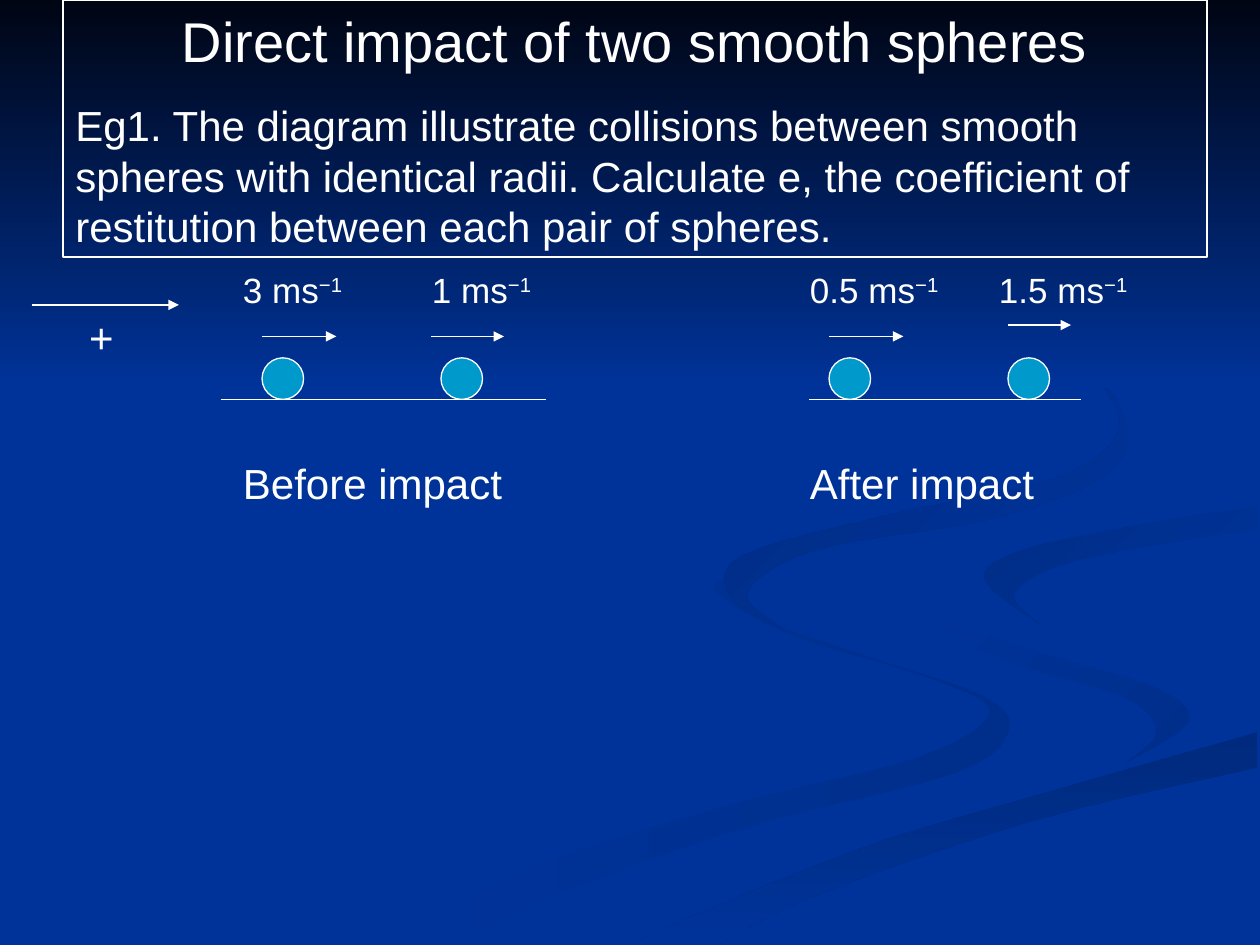
from dataclasses import dataclass
from lxml.etree import SubElement
from pptx import Presentation
from pptx.dml.color import RGBColor
from pptx.enum.shapes import MSO_CONNECTOR, MSO_SHAPE
from pptx.enum.text import PP_ALIGN
from pptx.oxml.ns import qn
from pptx.util import Inches, Pt

WHITE, BLUE, SPHERE_BLUE = "FFFFFF", "003399", "0099CC"
LINE_WIDTH = Pt(0.75)
DIAMETER = 0.33
GROUND_TOP = 3.17
CURVE_STEPS = 5
SPHERE_OFFSETS = (0.25, 1.67)
LABEL_OFFSETS = (0, 1.5)

Edge = list[tuple[float, float]]


@dataclass
class Ribbon:
    colors: tuple[str, str]
    angle: int
    edges: tuple[Edge, Edge]


@dataclass
class Sphere:
    speed: str
    label_width: float
    arrow: tuple[float, float, float]  # start, end, height on the slide


@dataclass
class State:
    caption: str
    left: float
    ground: tuple[float, float]
    spheres: tuple[Sphere, Sphere]


RIBBONS = [
    Ribbon((BLUE, "002E8B"), 0, (
        [(5.75, 4.59), (6.02, 4.9), (6.82, 5.19), (7.81, 5.53), (8, 5.81), (7.56, 6.14),
         (5.94, 6.56), (4.31, 7.14), (3.61, 7.49)],
        [(3, 7.49), (4.17, 6.9), (5.79, 6.39), (7.27, 6.02), (7.86, 5.66), (7.41, 5.39),
         (6.31, 5.05), (5.7, 4.72), (5.75, 4.59)])),
    Ribbon((BLUE, "002E8B"), 45, (
        [(7.24, 4.64), (7.45, 4.9), (8.3, 5.19), (9.19, 5.47), (9.43, 5.73), (8.94, 6.05)],
        [(8.94, 6.05), (9.18, 5.81), (8.92, 5.53), (7.97, 5.24), (7.33, 4.88),
         (7.24, 4.64)])),
    Ribbon(("002A7D", BLUE), 90, (
        [(5.03, 7.49), (5.69, 7.19), (6.96, 6.69), (8.31, 6.29), (9.98, 5.81)],
        [(9.98, 6.09), (8.21, 6.51), (6.49, 7.1), (5.71, 7.49)])),
    Ribbon(("002D86", BLUE), 45, (
        [(8.26, 4.96), (8.05, 4.72), (8.43, 4.48), (9.36, 4.29), (9.98, 4.2)],
        [(9.98, 4.02), (8.98, 4.18), (8.1, 4.37), (7.81, 4.6), (8.26, 4.96)])),
    Ribbon(("002B82", BLUE), 45, (
        [(7.62, 2.33), (8.46, 2.79), (8.89, 3.35), (8.42, 3.78), (7.04, 4.09), (5.89, 4.41),
         (5.8, 4.74), (6.22, 5)],
        [(6.22, 5), (5.93, 4.7), (6.49, 4.36), (7.86, 4.12), (8.76, 3.78), (8.93, 3.35),
         (8.54, 2.83), (7.62, 2.33)])),
]

STATES = [
    State("Before impact", 1.83, (1.75, 4.33), (
        Sphere("3 ms", 1.08, (2.08, 2.67, 2.67)),
        Sphere("1 ms", 1.08, (3.42, 4, 2.67)))),
    State("After impact", 6.33, (6.42, 8.58), (
        Sphere("0.5 ms", 1.25, (6.58, 7.17, 2.67)),
        Sphere("1.5 ms", 1.42, (8, 8.5, 2.58)))),
]


def color(value: str) -> RGBColor:
    return RGBColor.from_string(value)


def outline(shape) -> None:
    shape.line.color.rgb = color(WHITE)
    shape.line.width = LINE_WIDTH


def fill_gradient(shape, colors: tuple[str, str], angle: int) -> None:
    shape.shadow.inherit = False
    shape.line.fill.background()
    shape.fill.gradient()
    shape.fill.gradient_angle = -angle % 360
    for stop, value in zip(shape.fill.gradient_stops, colors):
        stop.color.rgb = color(value)


def smooth(edge: Edge) -> Edge:
    """Run a Catmull-Rom curve through the points of an edge."""
    padded = [edge[0], *edge, edge[-1]]
    curve = []
    for corners in zip(padded, padded[1:], padded[2:], padded[3:]):
        for step in range(CURVE_STEPS):
            t = step / CURVE_STEPS
            curve.append(tuple(
                b + t * (c - a + t * (2 * a - 5 * b + 4 * c - d
                                      + t * (3 * b - a - 3 * c + d))) / 2
                for a, b, c, d in zip(*corners)))
    return curve + [edge[-1]]


def write(paragraph, text: str, *, size: int = 24, exponent: str = "",
          align=PP_ALIGN.LEFT, before: int = 0) -> None:
    paragraph.alignment = align
    paragraph.space_before = Pt(before)
    paragraph.line_spacing = Pt(size * 1.2)
    for part in filter(None, (text, exponent)):
        run = paragraph.add_run()
        run.text = part
        run.font.size = Pt(size)
        run.font.name = "Arial"
        run.font.color.rgb = color(WHITE)
    if exponent:
        run.font._element.set("baseline", "30000")


def add_label(slide, text: str, left: float, top: float, width: float, height: float,
              **text_format) -> None:
    frame = slide.shapes.add_textbox(*map(Inches, (left, top, width, height))).text_frame
    frame.word_wrap = True
    write(frame.paragraphs[0], text, **text_format)


def add_line(slide, start: float, end: float, top: float, arrow: bool = False) -> None:
    connector = slide.shapes.add_connector(
        MSO_CONNECTOR.STRAIGHT, *map(Inches, (start, top, end, top)))
    outline(connector)
    if arrow:
        SubElement(connector.line._get_or_add_ln(), qn("a:tailEnd"), type="triangle")
    SubElement(connector._element.spPr, qn("a:effectLst"))


def add_ribbon(slide, ribbon: Ribbon) -> None:
    start, *others = [tuple(map(Inches, point))
                      for edge in ribbon.edges for point in smooth(edge)]
    builder = slide.shapes.build_freeform(*start)
    builder.add_line_segments(others, close=True)
    fill_gradient(builder.convert_to_shape(), ribbon.colors, ribbon.angle)


def add_header(slide) -> None:
    header = slide.shapes.add_shape(
        MSO_SHAPE.RECTANGLE, *map(Inches, (0.5, 0, 9.08, 2.04)))
    header.shadow.inherit = False
    header.fill.background()
    outline(header)
    frame = header.text_frame
    frame.word_wrap = True
    write(frame.paragraphs[0], "Direct impact of two smooth spheres", size=32,
          align=PP_ALIGN.CENTER)
    write(frame.add_paragraph(),
          "Eg1. The diagram illustrate collisions between smooth spheres with identical "
          "radii. Calculate e, the coefficient of restitution between each pair of spheres.",
          before=15)


def add_state(slide, state: State) -> None:
    for sphere, offset, label_offset in zip(state.spheres, SPHERE_OFFSETS, LABEL_OFFSETS):
        ball = slide.shapes.add_shape(MSO_SHAPE.OVAL, *map(
            Inches, (state.left + offset, GROUND_TOP - DIAMETER, DIAMETER, DIAMETER)))
        ball.shadow.inherit = False
        ball.fill.solid()
        ball.fill.fore_color.rgb = color(SPHERE_BLUE)
        outline(ball)
        add_line(slide, *sphere.arrow, arrow=True)
        add_label(slide, sphere.speed, state.left + label_offset, 2.08,
                  sphere.label_width, 0.44, size=20, exponent="−1")
    add_line(slide, *state.ground, GROUND_TOP)
    add_label(slide, state.caption, state.left, 3.58, 2.5, 0.5)


def main() -> None:
    presentation = Presentation()
    presentation.slide_width, presentation.slide_height = Inches(10), Inches(7.5)
    slide = presentation.slides.add_slide(presentation.slide_layouts[6])

    # Background with ribbons and a dark top
    slide.background.fill.solid()
    slide.background.fill.fore_color.rgb = color(BLUE)
    for ribbon in RIBBONS:
        add_ribbon(slide, ribbon)
    sky = slide.shapes.add_shape(MSO_SHAPE.RECTANGLE, 0, 0, Inches(10), Inches(3.08))
    fill_gradient(sky, ("000514", BLUE), 90)

    # Title and question
    add_header(slide)

    # Collision diagram
    for state in STATES:
        add_state(slide, state)

    # Positive direction
    add_line(slide, 0.25, 1.42, 2.42, arrow=True)
    add_label(slide, "+", 0.61, 2.42, 0.56, 0.5)

    presentation.save("out.pptx")


if __name__ == "__main__":
    main()
